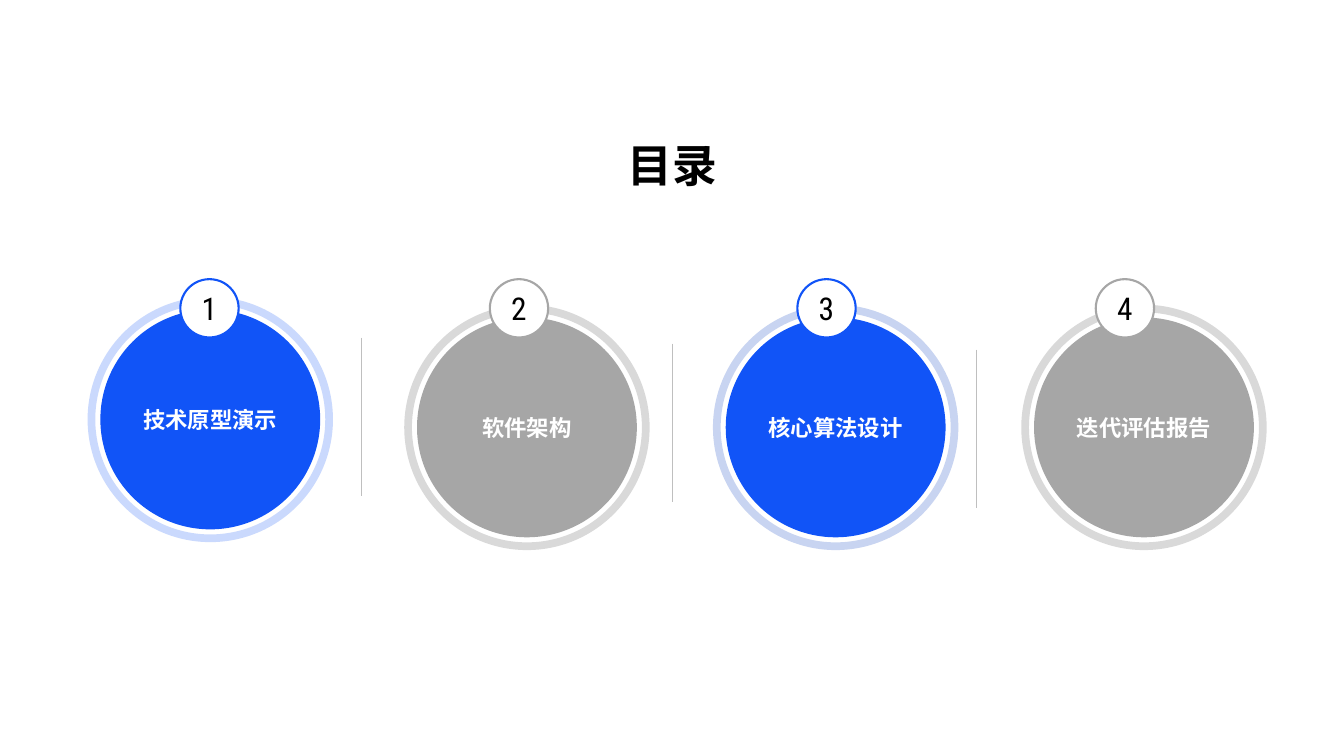
from dataclasses import dataclass

import lxml.etree
import pptx
import pptx.dml.color
import pptx.enum.lang
import pptx.enum.shapes
import pptx.enum.text
import pptx.oxml.ns
import pptx.util
from pptx.util import Cm


@dataclass(frozen=True)
class Theme:
    white: str = "FFFFFF"
    black: str = "000000"
    blue: str = "1154F7"
    deep_blue: str = "063CC0"
    grey: str = "A6A6A6"
    pale_grey: str = "D9D9D9"
    divider: str = "BFBFBF"
    text_font: str = "Arial"
    number_font: str = "Roboto Condensed"
    title_size: float = 32
    topic_size: float = 16
    number_size: float = 22.4
    ring_width: float = 5.5
    badge_width: float = 1.5
    divider_width: float = 0.25


THEME = Theme()
RING, DISC, BADGE = 5.99, 5.54, 1.47
BADGE_Y = 7.77
DIVIDER_LENGTH = 4

TOPICS = [
    ("技术原型演示", 5.3, 10.57, 5.28, THEME.blue, THEME.blue, 22),
    ("软件架构", 13.28, 10.77, 13.08, THEME.grey, THEME.pale_grey, 100),
    ("核心算法设计", 21.06, 10.77, 20.83, THEME.blue, THEME.deep_blue, 22),
    ("迭代评估报告", 28.83, 10.77, 28.35, THEME.grey, THEME.pale_grey, 100),
]
DIVIDERS_X = [9.09, 16.94, 24.61]


def rgb(color):
    return pptx.dml.color.RGBColor.from_string(color)


def write(shape, text, size, color, font=THEME.text_font, bold=True):
    frame = shape.text_frame
    frame.text = text
    frame.word_wrap = False
    frame.auto_size = pptx.enum.text.MSO_AUTO_SIZE.NONE
    frame.vertical_anchor = pptx.enum.text.MSO_ANCHOR.MIDDLE
    frame.margin_left = frame.margin_right = 0
    frame.margin_top = frame.margin_bottom = 0
    paragraph = frame.paragraphs[0]
    paragraph.alignment = pptx.enum.text.PP_ALIGN.CENTER
    run_font = paragraph.runs[0].font
    run_font.name = font
    run_font.size = pptx.util.Pt(size)
    run_font.bold = bold
    run_font.color.rgb = rgb(color)
    run_font.language_id = pptx.enum.lang.MSO_LANGUAGE_ID.SIMPLIFIED_CHINESE


def add_circle(slide, center_x, center_y, diameter, fill, outline=None, width=0):
    circle = slide.shapes.add_shape(
        pptx.enum.shapes.MSO_SHAPE.OVAL,
        Cm(center_x - diameter / 2), Cm(center_y - diameter / 2),
        Cm(diameter), Cm(diameter),
    )
    circle.shadow.inherit = False
    circle.fill.solid()
    circle.fill.fore_color.rgb = rgb(fill)
    if outline:
        circle.line.color.rgb = rgb(outline)
        circle.line.width = pptx.util.Pt(width)
    else:
        circle.line.fill.background()
    return circle


def set_line_opacity(shape, percent):
    qn = pptx.oxml.ns.qn
    color = shape.line._ln.find(".//" + qn("a:srgbClr"))
    lxml.etree.SubElement(color, qn("a:alpha"), val=str(percent * 1000))


def add_title(slide, text):
    title = slide.shapes.title
    title.left, title.top = Cm(1.88), Cm(3.15)
    title.width, title.height = Cm(30.12), Cm(1.98)
    write(title, text, THEME.title_size, THEME.black)


def add_topic(slide, number, label, x, y, badge_x, color, ring_color, opacity):
    ring = add_circle(slide, x, y, RING, THEME.white, ring_color, THEME.ring_width)
    if opacity < 100:
        set_line_opacity(ring, opacity)
    disc = add_circle(slide, x, y, DISC, color)
    write(disc, label, THEME.topic_size, THEME.white)
    badge = add_circle(slide, badge_x, BADGE_Y, BADGE, THEME.white, color, THEME.badge_width)
    write(badge, str(number), THEME.number_size, THEME.black, THEME.number_font, False)


def add_divider(slide, x, top):
    divider = slide.shapes.add_connector(
        pptx.enum.shapes.MSO_CONNECTOR.STRAIGHT,
        Cm(x), Cm(top), Cm(x), Cm(top + DIVIDER_LENGTH),
    )
    divider.line.color.rgb = rgb(THEME.divider)
    divider.line.width = pptx.util.Pt(THEME.divider_width)
    lxml.etree.SubElement(divider._element.spPr, pptx.oxml.ns.qn("a:effectLst"))


def main():
    deck = pptx.Presentation()
    deck.slide_width, deck.slide_height = Cm(33.87), Cm(19.05)
    slide = deck.slides.add_slide(deck.slide_layouts.get_by_name("Title Only"))
    add_title(slide, "目录")
    for number, topic in enumerate(TOPICS, start=1):
        add_topic(slide, number, *topic)
    for index, x in enumerate(DIVIDERS_X):
        add_divider(slide, x, 8.51 + 0.15 * index)
    deck.save("out.pptx")


if __name__ == "__main__":
    main()
